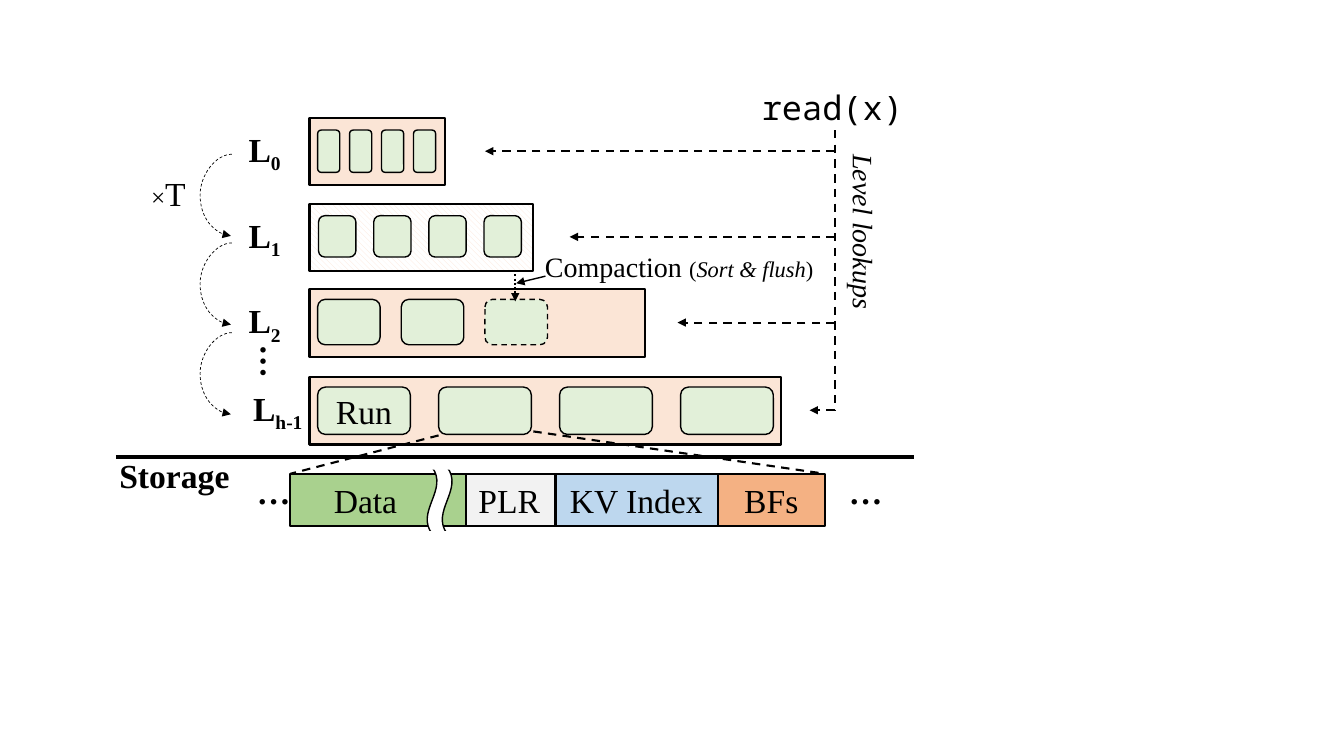
from lxml import etree
from pptx import Presentation
from pptx.dml.color import RGBColor
from pptx.enum import dml, shapes, text
from pptx.oxml import ns
from pptx.util import Inches, Pt

COLORS = {"black": "000000", "white": "FFFFFF", "level": "FBE5D6", "run": "E2F0D9",
          "data": "A9D18E", "plr": "F2F2F2", "index": "BDD7EE", "filter": "F4B183"}
SERIF, MONO = "Times New Roman", "Noto Sans Mono"
SHAPE, DASH = shapes.MSO_SHAPE, dml.MSO_LINE
MIDDLE, TOP = text.MSO_ANCHOR.MIDDLE, text.MSO_ANCHOR.TOP

presentation = Presentation()
presentation.slide_width, presentation.slide_height = Inches(13.33), Inches(7.5)
slide = presentation.slides.add_slide(presentation.slide_layouts[6])


def add_item(box, runs=(), kind=None, fill=None, line=1, dash=None, anchor=TOP, wrap=True, rotation=0):
    """Add a shape, or a text box when no kind is given; runs are (text, size, options)."""
    place = [Inches(length) for length in box]
    if kind is None:
        shape = slide.shapes.add_textbox(*place)
    else:
        shape = slide.shapes.add_shape(kind, *place)
        shape.shadow.inherit = False
        shape.fill.solid()
        shape.fill.fore_color.rgb = RGBColor.from_string(COLORS[fill])
        if line:
            shape.line.color.rgb = RGBColor.from_string(COLORS["black"])
            shape.line.width = Pt(line)
            if dash:
                shape.line.dash_style = dash
        else:
            shape.line.fill.background()
    shape.rotation = rotation
    frame = shape.text_frame
    frame.word_wrap, frame.vertical_anchor = wrap, anchor
    paragraph = frame.paragraphs[0]
    paragraph.alignment = text.PP_ALIGN.CENTER
    for words, size, options in runs:
        run = paragraph.add_run()
        run.text = words
        font = run.font
        font.size, font.name = Pt(size), options.get("font", SERIF)
        font.bold, font.italic = options.get("bold", False), options.get("italic", False)
        font.color.rgb = RGBColor.from_string(COLORS["black"])
        if options.get("subscript"):
            font._element.set("baseline", "-25000")
    return shape


def add_line(start, end, width=1.5, dash=None, arrow=False, bend=None):
    """Add a line; bend makes it a curve bulging by that multiple of its width."""
    kind = shapes.MSO_CONNECTOR.CURVE if bend else shapes.MSO_CONNECTOR.STRAIGHT
    connector = slide.shapes.add_connector(kind, *[Inches(length) for length in (*start, *end)])
    connector.line.color.rgb = RGBColor.from_string(COLORS["black"])
    connector.line.width = Pt(width)
    if dash:
        connector.line.dash_style = dash
    properties = connector._element.spPr
    if arrow:
        etree.SubElement(connector.line._get_or_add_ln(), ns.qn("a:tailEnd"), type="triangle")
    if bend:
        guides = properties.find(ns.qn("a:prstGeom")).get_or_add_avLst()
        etree.SubElement(guides, ns.qn("a:gd"), name="adj1", fmla=f"val {bend * 100000}")
    etree.SubElement(properties, ns.qn("a:effectLst"))


# Levels: subscript, label left and width, top, width, arrow end, then runs: left, step, width, inset, height, count
LEVELS = [
    ("0", 2.21, 0.83, 1.17, 1.34, 4.81, (3.15, 0.317, 0.22, 0.12, 0.42, 4)),
    ("1", 2.21, 0.83, 2.02, 2.22, 5.65, (3.16, 0.547, 0.37, 0.12, 0.41, 4)),
    ("2", 2.21, 0.83, 2.87, 3.33, 6.72, (3.15, 0.83, 0.62, 0.10, 0.45, 3)),
    ("h-1", 2.27, 0.97, 3.74, 4.68, 8.03, (3.15, 1.2, 0.92, 0.10, 0.47, 4)),
]
LOOKUP_X = 8.28
for name, label_left, label_width, top, width, arrow_x, (left, step, run_width, inset, height, count) in LEVELS:
    add_item((label_left, top + 0.08, label_width, 0.51),
             [("L", 24, {"bold": True}), (name, 24, {"bold": True, "subscript": True})], anchor=MIDDLE)
    level = add_item((3.07, top, width, 0.67), kind=SHAPE.RECTANGLE, fill="level", line=1.5)
    if name == "1":
        level.fill.patterned()
        level.fill.pattern = dml.MSO_PATTERN.WIDE_DOWNWARD_DIAGONAL
        level.fill.fore_color.rgb = RGBColor.from_string(COLORS["level"])
        level.fill.back_color.rgb = RGBColor.from_string(COLORS["white"])
    for index in range(count):
        caption = [("Run", 24, {})] if name == "h-1" and index == 0 else []
        pending = name == "2" and index == count - 1
        add_item((left + index * step, top + inset, run_width, height), caption,
                 SHAPE.ROUNDED_RECTANGLE, "run", dash=DASH.DASH if pending else None,
                 anchor=MIDDLE, wrap=False)
    add_line((LOOKUP_X, top + 0.33), (arrow_x, top + 0.33), dash=DASH.DASH, arrow=True)

# Growth between levels
add_item((1.09, 1.67, 1.16, 0.5), [("×", 18, {}), ("T", 24, {})])
for top in (1.53, 2.41, 3.3):
    add_line((2.3, top), (2.29, top + 0.81), 0.5, DASH.DASH, True, bend=32)

# Lookup path
add_item((7.21, 0.81, 2.09, 0.5), [("read(x)", 24, {"font": MONO})], anchor=MIDDLE)
add_line((LOOKUP_X, 1.29), (LOOKUP_X, 4.08), dash=DASH.DASH)
add_item((7.69, 2.08, 1.75, 0.44), [("Level lookups", 20, {"italic": True})], wrap=False, rotation=90)

# Compaction
add_line((5.11, 2.68), (5.11, 2.99), dash=DASH.ROUND_DOT, arrow=True)
add_line((5.41, 2.74), (5.12, 2.81), 1, arrow=True)
add_item((5.29, 2.43, 2.89, 0.44), [("Compaction ", 20, {}), ("(", 16, {}),
         ("Sort & flush", 16, {"italic": True}), (")", 16, {})], wrap=False)

# Layout of one run in storage
for words, left, width, fill, margin in (
        ("KV Index", 5.49, 1.64, "index", 0), ("BFs", 7.12, 1.06, "filter", 0),
        ("PLR", 4.59, 0.92, "plr", 0), ("Data", 2.88, 1.74, "data", 0.25)):
    segment = add_item((left, 4.7, width, 0.52), [(words, 24, {})], SHAPE.RECTANGLE, fill, 1.5,
                       anchor=MIDDLE)
    segment.text_frame.margin_left, segment.text_frame.margin_right = 0, Inches(margin)

# Break in the data segment, with its ends covered
wave = add_item((4.03, 4.84, 0.66, 0.25), kind=SHAPE.WAVE, fill="white", rotation=270)
wave.adjustments[0], wave.adjustments[1] = 0.2, 0
for box in ((4.23, 4.61, 0.27, 0.05), (4.16, 5.27, 0.4, 0.05)):
    add_item(box, kind=SHAPE.RECTANGLE, fill="white", line=None)

# Storage boundary and zoom lines
add_item((1.08, 4.46, 1.3, 0.5), [("Storage", 24, {"bold": True})], wrap=False)
add_line((1.15, 4.53), (9.07, 4.53), 3)
add_line((4.35, 4.32), (2.88, 4.7), dash=DASH.DASH)
add_line((5.29, 4.28), (8.18, 4.7), dash=DASH.DASH)

# Ellipses
for left, top, rotation in ((2.45, 4.62, 0), (8.32, 4.62, 0), (2.31, 3.41, 270)):
    add_item((left, top, 0.38, 0.5), [("…", 24, {"bold": True})], rotation=rotation)

presentation.save("out.pptx")
